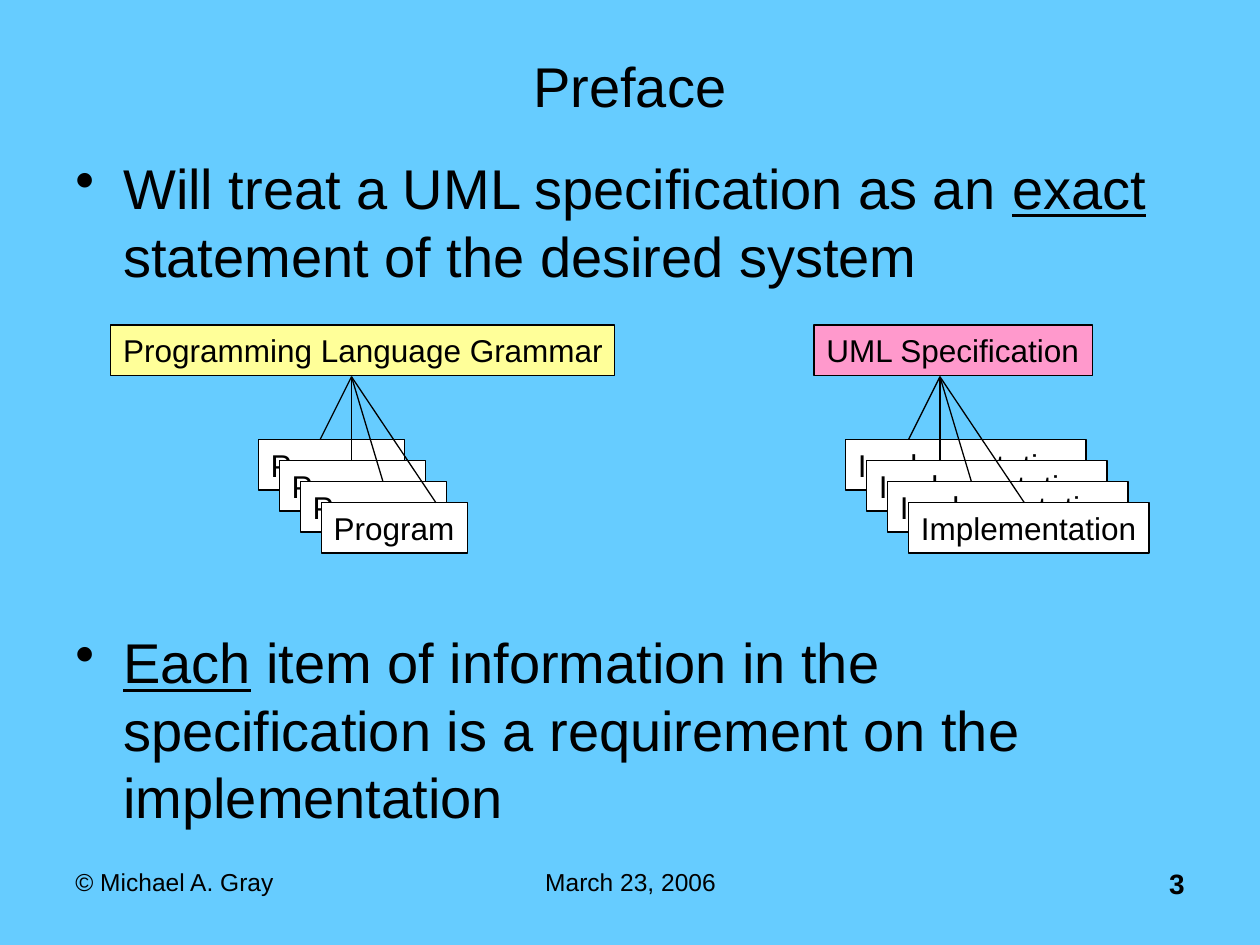
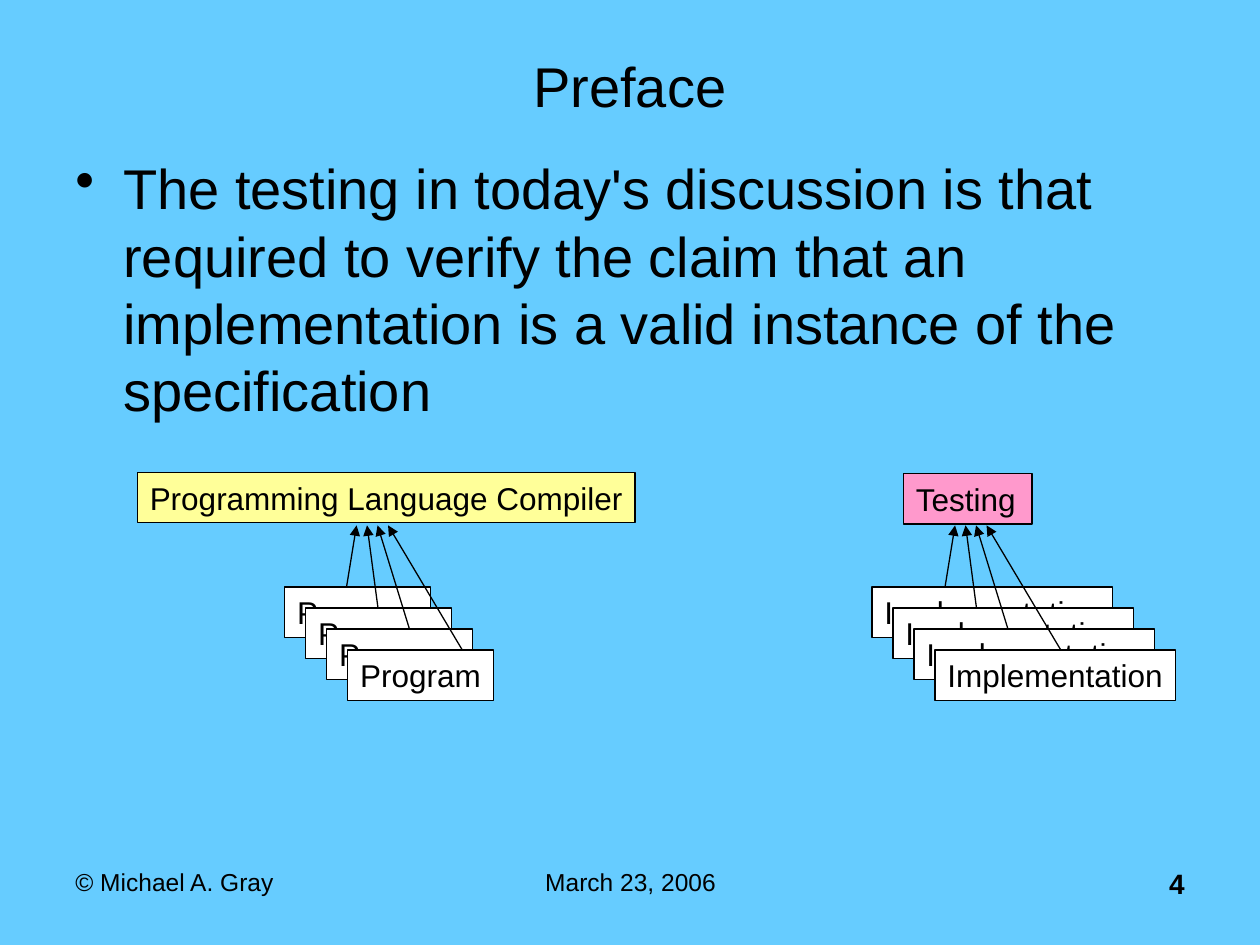
from lxml import etree
from pptx import Presentation
from pptx.dml.color import RGBColor
from pptx.enum.shapes import MSO_CONNECTOR, MSO_SHAPE
from pptx.enum.text import MSO_ANCHOR, PP_ALIGN
from pptx.oxml.ns import qn
from pptx.util import Inches, Pt

COLORS = {
    "background": "66CCFF",
    "ink": "000000",
    "language": "FFFF99",
    "uml": "FF99CC",
    "card": "FFFFFF",
}
FONT = "Arial"
CARD_COUNT = 4
CARD_STEP = 0.5 / 3
BOX_HEIGHT = 0.4
FOOT_OFFSETS = (0, 0.25, 0.5, 0.92)


def color(name):
    return RGBColor.from_string(COLORS[name])


def add_run(paragraph, text, size, bold=False, underline=False):
    run = paragraph.add_run()
    run.text = text
    run.font.name = FONT
    run.font.size = Pt(size)
    run.font.bold = bold
    run.font.underline = underline
    run.font.color.rgb = color("ink")


def add_text_frame(slide, left, top, width, height, anchor=MSO_ANCHOR.TOP):
    box = slide.shapes.add_textbox(
        Inches(left), Inches(top), Inches(width), Inches(height))
    frame = box.text_frame
    frame.word_wrap = True
    frame.vertical_anchor = anchor
    return frame


def add_line_of_text(frame, text, size, alignment, bold=False):
    paragraph = frame.paragraphs[0]
    paragraph.alignment = alignment
    add_run(paragraph, text, size, bold)


def add_bullets(slide, bullets, gap=0):
    """Each bullet is a list of (text, underlined); gap is the points between bullets."""
    frame = add_text_frame(slide, 0.5, 1.17, 9, 5.67)
    for index, parts in enumerate(bullets):
        paragraph = frame.add_paragraph() if index else frame.paragraphs[0]
        properties = paragraph._p.get_or_add_pPr()
        properties.set("marL", str(Inches(0.38)))
        properties.set("indent", str(Inches(-0.38)))
        etree.SubElement(properties, qn("a:buChar"), char="•")
        paragraph.line_spacing = Pt(38.5)
        if index:
            paragraph.space_before = Pt(gap)
        for text, underlined in parts:
            add_run(paragraph, text, 32, underline=underlined)


def add_label_box(slide, text, fill, left, top, width):
    shape = slide.shapes.add_shape(
        MSO_SHAPE.RECTANGLE, Inches(left), Inches(top), Inches(width), Inches(BOX_HEIGHT))
    shape.shadow.inherit = False
    shape.fill.solid()
    shape.fill.fore_color.rgb = color(fill)
    shape.line.color.rgb = color("ink")
    shape.line.width = Pt(0.75)
    frame = shape.text_frame
    frame.word_wrap = False
    frame.vertical_anchor = MSO_ANCHOR.MIDDLE
    add_line_of_text(frame, text, 18, PP_ALIGN.LEFT)


def add_link(slide, start, end, arrow):
    """Draw a line from start to end, with an arrowhead at start if arrow is set."""
    connector = slide.shapes.add_connector(
        MSO_CONNECTOR.STRAIGHT, *(Inches(value) for value in (*start, *end)))
    connector.line.color.rgb = color("ink")
    connector.line.width = Pt(0.75)
    if arrow:
        etree.SubElement(connector.line._get_or_add_ln(), qn("a:headEnd"), type="triangle")
    etree.SubElement(connector._element.spPr, qn("a:effectLst"))


def add_card_stack(slide, text, left, top, width, foot, arrows):
    """Stack overlapping cards and link each to the box above; foot is the first link's x.

    Plain links meet in one point, arrows arrive side by side.
    """
    for index in range(CARD_COUNT):
        shift = index * CARD_STEP
        add_label_box(slide, text, "card", left + shift, top + shift, width)
    for index, offset in enumerate(FOOT_OFFSETS):
        head = foot + (0.08 + index / 12 if arrows else 0.25)
        add_link(slide, (head, top - 0.5 + 0.01 * arrows),
                 (foot + offset, top + index * CARD_STEP), arrows)


def add_preface_slide(presentation, number):
    slide = presentation.slides.add_slide(presentation.slide_layouts[6])
    slide.background.fill.solid()
    slide.background.fill.fore_color.rgb = color("background")
    title = add_text_frame(slide, 0.5, 0.3, 9, 0.75, MSO_ANCHOR.MIDDLE)
    add_line_of_text(title, "Preface", 32, PP_ALIGN.CENTER)
    for text, left, width, size, alignment, bold in (
        ("March 23, 2006", 3.42, 3.17, 14, PP_ALIGN.CENTER, False),
        (str(number), 7.17, 2.33, 16, PP_ALIGN.RIGHT, True),
        ("© Michael A. Gray", 0.5, 2.33, 14, PP_ALIGN.LEFT, False),
    ):
        footer = add_text_frame(slide, left, 6.83, width, 0.52)
        add_line_of_text(footer, text, size, alignment, bold)
    return slide


def add_specification_slide(presentation):
    slide = add_preface_slide(presentation, 3)
    add_bullets(slide, [
        [("Will treat a UML specification as an ", False), ("exact", True),
         (" statement of the desired system", False)],
        [("Each", True), (" item of information in the specification is a "
                          "requirement on the implementation", False)],
    ], gap=194)
    add_label_box(slide, "Programming Language Grammar", "language", 0.88, 2.58, 4)
    add_label_box(slide, "UML Specification", "uml", 6.46, 2.58, 2.21)
    add_card_stack(slide, "Program", 2.05, 3.49, 1.16, 2.54, arrows=False)
    add_card_stack(slide, "Implementation", 6.71, 3.49, 1.91, 7.21, arrows=False)


def add_testing_slide(presentation):
    slide = add_preface_slide(presentation, 4)
    add_bullets(slide, [
        [("The testing in today's discussion is that required to verify the claim that "
          "an implementation is a valid instance of the specification", False)],
    ])
    add_label_box(slide, "Programming Language Compiler", "language", 1.09, 3.75, 3.95)
    add_label_box(slide, "Testing", "uml", 7.17, 3.76, 1.02)
    add_card_stack(slide, "Program", 2.26, 4.66, 1.16, 2.75, arrows=True)
    add_card_stack(slide, "Implementation", 6.92, 4.66, 1.91, 7.5, arrows=True)


def main():
    presentation = Presentation()
    presentation.slide_width = Inches(10)
    presentation.slide_height = Inches(7.5)
    add_specification_slide(presentation)
    add_testing_slide(presentation)
    presentation.save("out.pptx")


if __name__ == "__main__":
    main()
